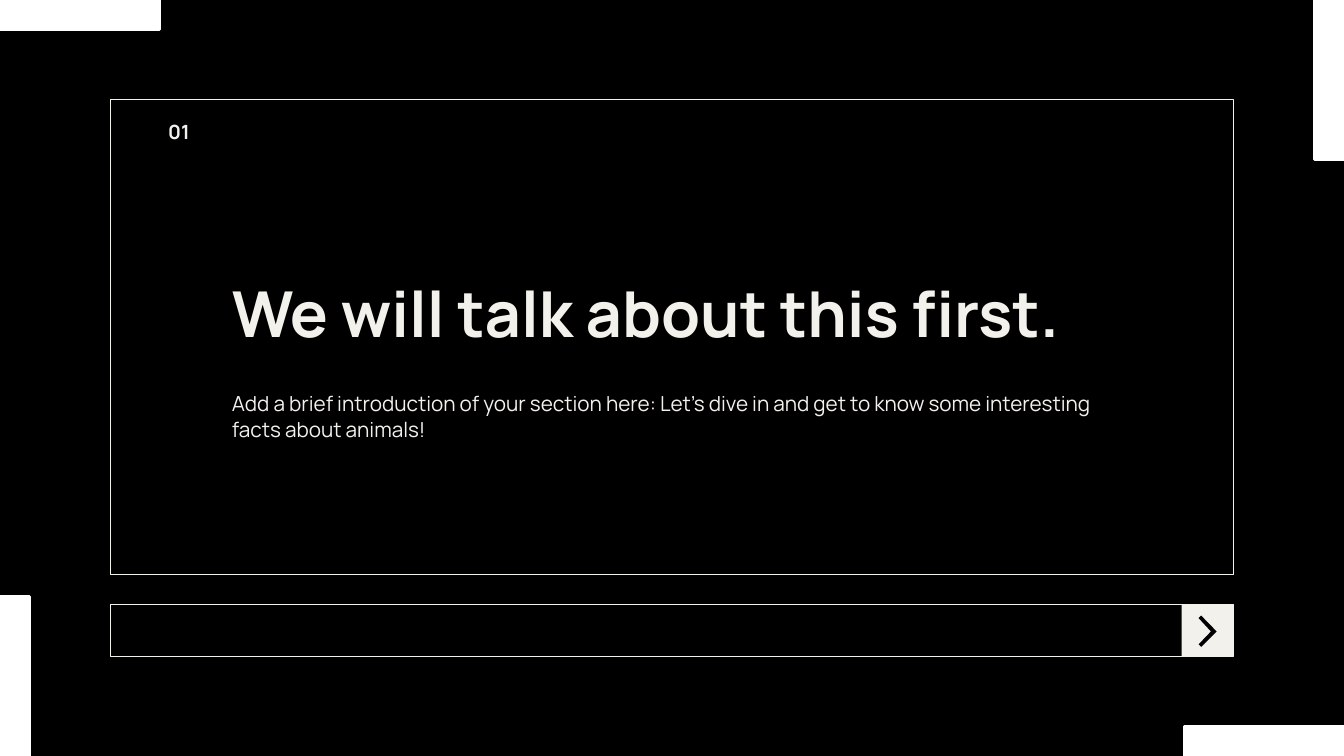
"""Build a dark section opener with a framed title and a navigation bar."""
from pptx import Presentation
from pptx.dml.color import RGBColor
from pptx.enum.shapes import MSO_SHAPE as Shape
from pptx.enum.text import MSO_ANCHOR as Anchor, PP_ALIGN as Align
from pptx.util import Inches, Pt

BLACK = RGBColor(0x00, 0x00, 0x00)
WHITE = RGBColor(0xFF, 0xFF, 0xFF)
IVORY = RGBColor(0xF3, 0xF1, 0xEC)
WIDTH, HEIGHT = Inches(13.33), Inches(7.5)

LEFT, SPAN = 8.25, 83.5
BAR_TOP, BAR_HEIGHT = 80, 6.8
BUTTON_WIDTH = 3.83
TEXT_LEFT, TEXT_SPAN = 16.28, 67.52
CHEVRON = [(0.33, 0.26), (0.38, 0.21), (0.68, 0.52),
           (0.38, 0.82), (0.33, 0.77), (0.57, 0.52)]


def place(left, top, width, height):
    """Turn percentages of the slide into lengths."""
    return (round(WIDTH * left / 100), round(HEIGHT * top / 100),
            round(WIDTH * width / 100), round(HEIGHT * height / 100))


def paint(shape, fill, line, weight):
    """Set the fill and outline of a shape, either of which may be None."""
    shape.shadow.inherit = False
    if fill is None:
        shape.fill.background()
    else:
        shape.fill.solid()
        shape.fill.fore_color.rgb = fill
    if line is None:
        shape.line.fill.background()
    else:
        shape.line.color.rgb = line
        shape.line.width = Pt(weight)


def add_panel(page, area, fill=None, line=None, weight=0.75):
    """Add a rectangle and return it."""
    panel = page.shapes.add_shape(Shape.RECTANGLE, *place(*area))
    paint(panel, fill, line, weight)
    return panel


def add_text(page, area, text, size, bold=False, inset=None, anchor=Anchor.TOP):
    """Add a wrapped text box and return its paragraph."""
    frame = page.shapes.add_textbox(*place(*area)).text_frame
    frame.word_wrap = True
    frame.vertical_anchor = anchor
    if inset is not None:
        frame.margin_left = frame.margin_right = Inches(inset)
        frame.margin_top = frame.margin_bottom = Inches(inset)
    para = frame.paragraphs[0]
    para.text = text
    para.font.name = "Manrope"
    para.font.size = Pt(size)
    para.font.bold = bold
    para.font.color.rgb = IVORY
    return para


def add_chevron(page, button):
    """Draw the forward chevron inside its square button."""
    points = [(round(button.left + button.width * across),
               round(button.top + button.height * down))
              for across, down in CHEVRON]
    builder = page.shapes.build_freeform(*points[0])
    builder.add_line_segments(points[1:], close=True)
    paint(builder.convert_to_shape(), BLACK, None, 0)


def add_corner_tabs(page):
    """Add one white tab to each corner of the slide."""
    upright, flat = (2.18, 21.07), (11.85, 3.87)
    for right, bottom, (width, height) in [(0, 1, upright), (1, 0, upright),
                                           (0, 0, flat), (1, 1, flat)]:
        area = (right * (100 - width), bottom * (100 - height), width, height)
        add_panel(page, area, WHITE, WHITE, 2)


def main():
    """Compose and save the slide."""
    deck = Presentation()
    deck.slide_width, deck.slide_height = WIDTH, HEIGHT
    page = deck.slides.add_slide(deck.slide_layouts[6])
    page.background.fill.solid()
    page.background.fill.fore_color.rgb = BLACK

    add_panel(page, (LEFT, 13.2, SPAN, 62.8), line=IVORY)
    add_panel(page, (LEFT, BAR_TOP, SPAN, BAR_HEIGHT), line=IVORY)
    button = add_panel(page, (LEFT + SPAN - BUTTON_WIDTH, BAR_TOP,
                              BUTTON_WIDTH, BAR_HEIGHT), fill=IVORY)
    add_chevron(page, button)

    add_text(page, (TEXT_LEFT, 32.27, TEXT_SPAN, 18.13),
             "We will talk about this first.", 45.2, bold=True,
             inset=0.13, anchor=Anchor.MIDDLE)
    number = add_text(page, (9.6, 15.2, 7.43, 10.8), "01", 14, bold=True)
    number.alignment = Align.CENTER
    intro = add_text(page, (TEXT_LEFT, 49.73, TEXT_SPAN, 13.6),
                     "Add a brief introduction of your section here: Let’s dive in "
                     "and get to know some interesting facts about animals!",
                     14.8, inset=0.13)
    intro.line_spacing = 1.05
    add_corner_tabs(page)
    deck.save("out.pptx")


if __name__ == "__main__":
    main()
